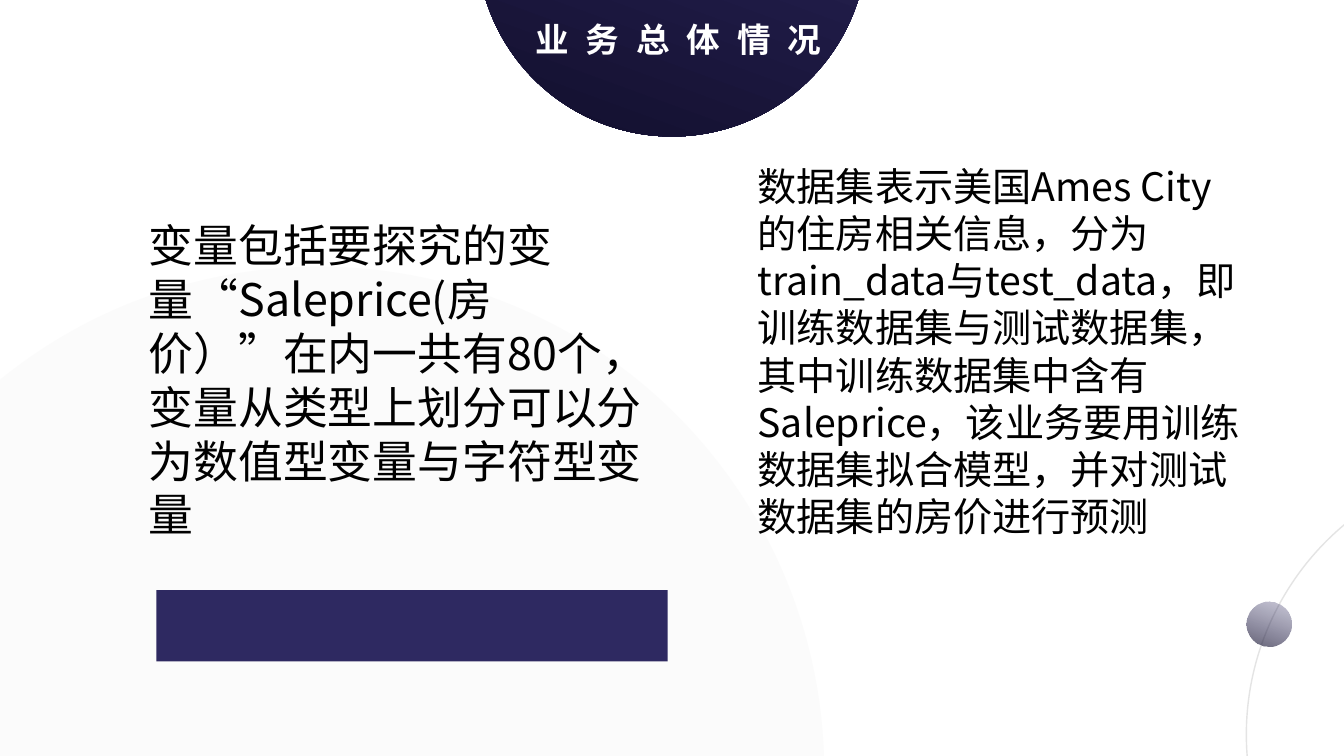
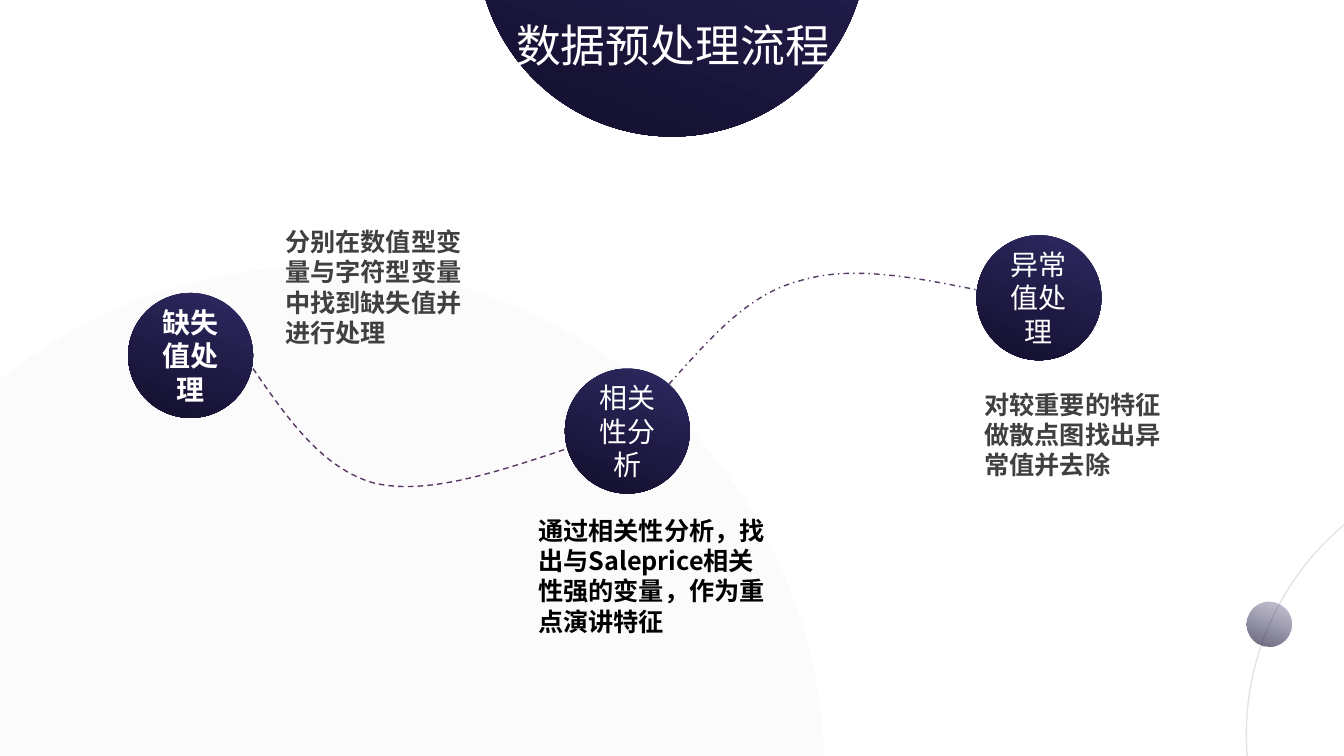
"""Build two slides on the housing data set and its preprocessing steps."""
from lxml import etree
from pptx import Presentation
from pptx import util as u
from pptx.dml.color import RGBColor
from pptx.enum import dml, shapes, text
from pptx.oxml.ns import qn

PX = 9525
FONT = "Noto Sans CJK SC"
NAVY = RGBColor(0x2E, 0x29, 0x61)
MIDNIGHT = RGBColor(0x12, 0x0F, 0x2D)
PLUM = RGBColor(0x56, 0x38, 0x62)
PALE = RGBColor(0xF2, 0xF2, 0xF2)
GREY = RGBColor(0xA6, 0xA6, 0xA6)
DARK = RGBColor(0x40, 0x40, 0x40)
BLACK = RGBColor(0, 0, 0)
WHITE = RGBColor(0xFF, 0xFF, 0xFF)
LEFT, CENTER = text.PP_ALIGN.LEFT, text.PP_ALIGN.CENTER
STEP_SIZE = 119

STEPS = [
    ((122, 279), "缺失值处理", True),
    ((538, 351), "相关性分析", False),
    ((930, 224), "异常值处理", False),
]
NOTES = [
    ((262, 211, 203, 126), "分别在数值型变量与字符型变量中找到缺失值并进行处理", DARK),
    ((928, 366, 203, 97), "对较重要的特征做散点图找出异常值并去除", DARK),
    ((503, 486, 237, 126),
     "通过相关性分析，找出与Saleprice相关性强的变量，作为重点演讲特征", BLACK),
]
CURVES = [
    ([(241, 351), (274, 399), (307, 446), (356, 460),
      (406, 472), (472, 450), (538, 428)], dml.MSO_LINE.DASH),
    ([(637, 366), (675, 324), (711, 281), (760, 268),
      (809, 252), (870, 264), (930, 276)], dml.MSO_LINE.DASH_DOT),
]


def emu(*lengths):
    """Turn px lengths into EMU."""
    return [u.Emu(n * PX) for n in lengths]


def set_opacity(element, percent):
    """Make every RGB colour inside an element translucent."""
    for clr in element.iter(qn("a:srgbClr")):
        etree.SubElement(clr, qn("a:alpha"), val=str(percent * 1000))


def write(sp, words, size, color, align=LEFT, anchor=text.MSO_ANCHOR.TOP,
          wrap=True, bold=False, spacing=0):
    """Put one formatted paragraph into a shape."""
    tf = sp.text_frame
    frame = {"word_wrap": wrap, "vertical_anchor": anchor,
             "auto_size": text.MSO_AUTO_SIZE.NONE}
    for name, value in frame.items():
        setattr(tf, name, value)
    p = tf.paragraphs[0]
    p.alignment, p.space_before = align, u.Pt(0)
    r = p.add_run()
    r.text = words
    r.font.color.rgb = color
    for name, value in {"size": u.Pt(size), "bold": bold, "name": FONT}.items():
        setattr(r.font, name, value)
    rPr = r.font._element if hasattr(r.font, "_element") else r._r.get_or_add_rPr()
    rPr.find(qn("a:latin")).addnext(rPr.makeelement(qn("a:ea"), {"typeface": FONT}))
    if spacing:
        rPr.set("spc", str(spacing * 100))


def place(s, sp, box):
    """Move a placeholder to a box and bring it to the front."""
    sp.left, sp.top, sp.width, sp.height = emu(*box)
    s.shapes.element.append(sp.element)


def add_title(s, box, words, size, inset=None, **style):
    """Set the slide title over the dome."""
    sp = s.shapes.title
    place(s, sp, box)
    if inset is not None:
        for side in ("left", "top", "right", "bottom"):
            setattr(sp.text_frame, f"margin_{side}", u.Emu(inset * PX))
    write(sp, words, size, WHITE, **style)


def add_body(s, idx, box, words, size):
    """Fill a body placeholder with unbulleted text."""
    sp = s.placeholders[idx]
    place(s, sp, box)
    pPr = sp.text_frame.paragraphs[0]._p.get_or_add_pPr()
    pPr.set("marL", "0")
    pPr.set("indent", "0")
    etree.SubElement(pPr, qn("a:buNone"))
    write(sp, words, size, BLACK)


def add_plain(s, kind, box, color=None):
    """Add an unlined preset shape with a solid fill or none."""
    sp = s.shapes.add_shape(kind, *emu(*box))
    sp.shadow.inherit = False
    sp.line.fill.background()
    if color is None:
        sp.fill.background()
    else:
        sp.fill.solid()
        sp.fill.fore_color.rgb = color
    return sp


def add_circle(s, left, top, size, color=None):
    """Add a plain circle."""
    return add_plain(s, shapes.MSO_SHAPE.OVAL, (left, top, size, size), color)


def add_ball(s, left, top, size, opacity=()):
    """Add a circle shaded from navy to midnight."""
    sp = add_circle(s, left, top, size)
    sp.fill.gradient()
    sp.fill.gradient_angle = 250
    stops = sp.fill.gradient_stops
    for stop, color, position in zip(stops, (NAVY, MIDNIGHT), (0, 1)):
        stop.color.rgb, stop.position = color, position
    for gs, percent in zip(sp.element.iter(qn("a:gs")), opacity):
        set_opacity(gs, percent)
    return sp


def add_curve(s, points, dash):
    """Add a dashed line of cubic Bezier pieces, three points each."""
    builder = s.shapes.build_freeform(*points[0], scale=PX)
    builder.add_line_segments(points[1:], close=False)
    sp = builder.convert_to_shape()
    sp.shadow.inherit = False
    sp.fill.background()
    sp.line.color.rgb, sp.line.width, sp.line.dash_style = PLUM, u.Pt(1), dash
    lines = list(sp.element.iter(qn("a:lnTo")))
    outline = lines[0].getparent()
    for i in range(0, len(lines), 3):
        bezier = etree.SubElement(outline, qn("a:cubicBezTo"))
        for line in lines[i:i + 3]:
            bezier.append(line[0])
            outline.remove(line)


def add_slide(prs, layout):
    """Add a slide with the shared dome, ring, dot and pale disc."""
    s = prs.slides.add_slide(prs.slide_layouts[layout])
    add_ball(s, 454, -242, 372)
    ring = add_circle(s, 1187, 439, 521)
    ring.line.color.rgb, ring.line.width = GREY, u.Pt(1)
    set_opacity(ring.element, 30)
    add_ball(s, 1187, 573, 43, (26, 65))
    set_opacity(add_circle(s, -178, 254, 963, PALE).element, 29)
    return s


def add_overview(prs):
    """Build the slide on the data set."""
    s = add_slide(prs, 3)
    add_plain(s, shapes.MSO_SHAPE.RECTANGLE, (149, 562, 487, 68), NAVY)
    add_title(s, (436, 18, 420, 49), "业务总体情况", 24, inset=0,
              align=CENTER, wrap=False, bold=True, spacing=12)
    add_body(s, 1, (132, 203, 509, 268),
             "变量包括要探究的变量“Saleprice(房价）”在内一共有80个，"
             "变量从类型上划分可以分为数值型变量与字符型变量", 32)
    add_body(s, 2, (712, 150, 487, 372),
             "数据集表示美国Ames City 的住房相关信息，分为train_data与test_data，"
             "即训练数据集与测试数据集，其中训练数据集中含有Saleprice，"
             "该业务要用训练数据集拟合模型，并对测试数据集的房价进行预测", 28)


def add_process(prs):
    """Build the slide on the preprocessing steps."""
    s = add_slide(prs, 5)
    for points, dash in CURVES:
        add_curve(s, points, dash)
    for (left, top), words, bold in STEPS:
        write(add_ball(s, left, top, STEP_SIZE), words, 20, WHITE, align=CENTER,
              anchor=text.MSO_ANCHOR.MIDDLE, bold=bold)
    for box, words, color in NOTES:
        write(s.shapes.add_textbox(*emu(*box)), words, 18, color, bold=True)
    add_title(s, (482, 12, 328, 61), "数据预处理流程", 32)


def main():
    """Build and save the presentation."""
    prs = Presentation()
    prs.slide_width, prs.slide_height = emu(1280, 720)
    add_overview(prs)
    add_process(prs)
    prs.save("out.pptx")


if __name__ == "__main__":
    main()
